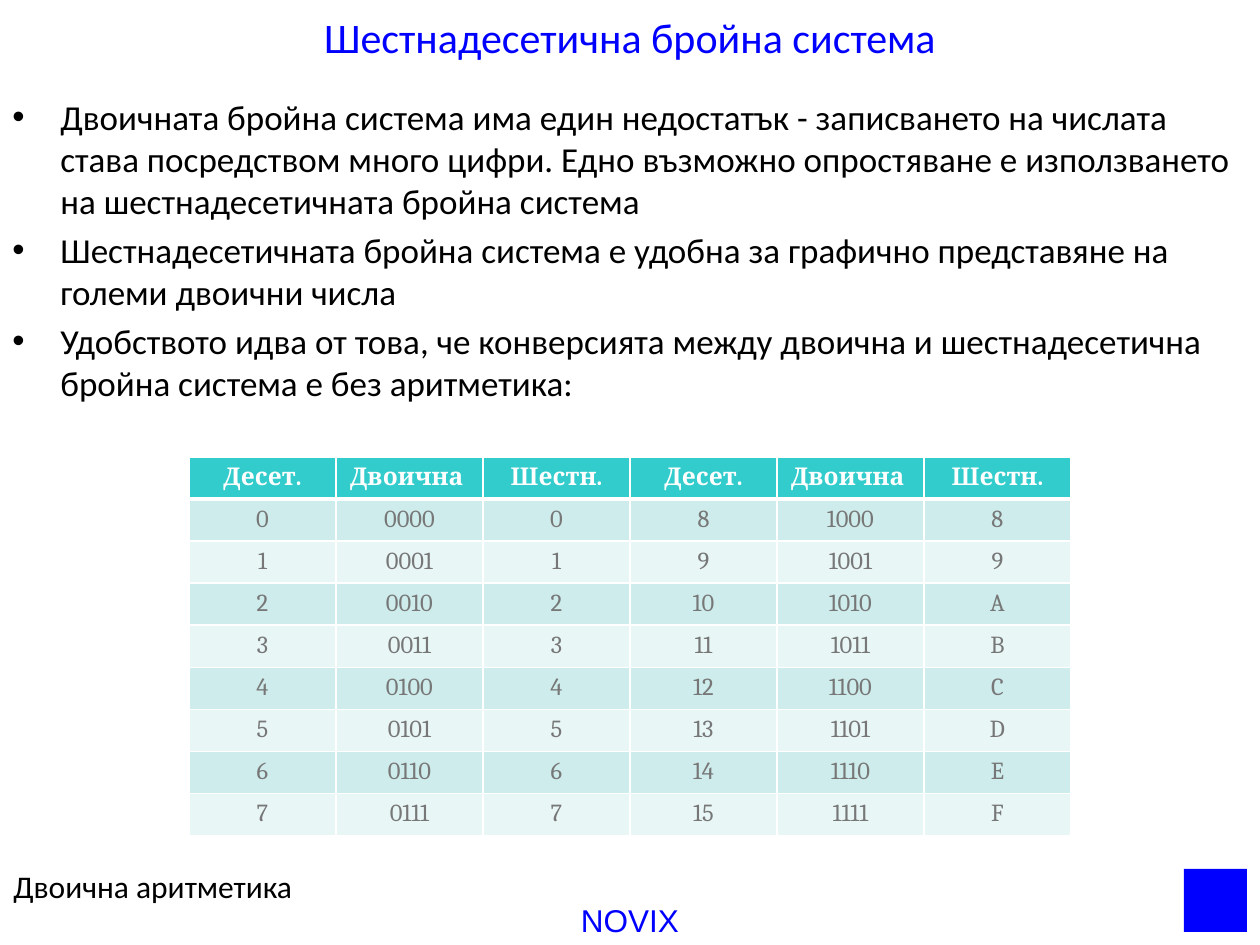
from typing import NamedTuple

from lxml.etree import SubElement
from pptx import Presentation
from pptx.dml.color import RGBColor
from pptx.enum.shapes import MSO_SHAPE
from pptx.enum.text import MSO_ANCHOR as Anchor, MSO_AUTO_SIZE as AutoSize, PP_ALIGN as Align
from pptx.oxml.ns import qn
from pptx.util import Pt

PX = 914400 // 126
BLUE = RGBColor(0x00, 0x00, 0xFF)
BLACK = RGBColor(0x00, 0x00, 0x00)
WHITE = RGBColor(0xFF, 0xFF, 0xFF)
GREY = RGBColor(0x77, 0x77, 0x77)
TEAL = RGBColor(0x33, 0xCC, 0xCC)
BANDS = (RGBColor(0xCE, 0xEC, 0xEC), RGBColor(0xE8, 0xF6, 0xF6))

HEADINGS = ("Десет.", "Двоична ", "Шестн.") * 2
DIGIT_ROWS = 8
POINTS = (
    "Двоичната бройна система има един недостатък - записването на числата става "
    "посредством много цифри. Едно възможно опростяване е използването на "
    "шестнадесетичната бройна система",
    "Шестнадесетичната бройна система е удобна за графично представяне на големи двоични числа",
    "Удобството идва от това, че конверсията между двоична и шестнадесетична бройна "
    "система е без аритметика:",
)


class Box(NamedTuple):
    left: int
    top: int
    width: int
    height: int

    def emu(self) -> tuple[int, ...]:
        return tuple(length * PX for length in self)


class CellLook(NamedTuple):
    fill: RGBColor
    color: RGBColor
    bold: bool
    bottom_line: int


def write(frame, *texts: str, size: int, color: RGBColor, font: str = "Calibri",
          bold: bool = False, align=Align.LEFT, space_before: int = 0, bullet_indent: int = 0):
    """Fill a text frame with one equally formatted paragraph per text."""
    for index, text in enumerate(texts):
        paragraph = frame.add_paragraph() if index else frame.paragraphs[0]
        paragraph.alignment = align
        paragraph.space_before = Pt(space_before)
        run = paragraph.add_run()
        run.text = text
        run.font.size, run.font.name, run.font.bold = Pt(size), font, bold
        run.font.color.rgb = color
        if bullet_indent:
            properties = paragraph._p.get_or_add_pPr()
            properties.set("marL", str(bullet_indent * PX))
            properties.set("indent", str(-bullet_indent * PX))
            SubElement(properties, qn("a:buFont"), typeface="Arial")
            SubElement(properties, qn("a:buChar"), char="•")


def add_text(slide, box: Box, *texts: str, anchor=Anchor.TOP, **text_format):
    frame = slide.shapes.add_textbox(*box.emu()).text_frame
    frame.word_wrap = True
    frame.vertical_anchor = anchor
    write(frame, *texts, **text_format)


def set_title(slide, box: Box, text: str):
    title = slide.shapes.title
    title.left, title.top, title.width, title.height = box.emu()
    frame = title.text_frame
    frame.auto_size = AutoSize.NONE
    frame.vertical_anchor = Anchor.MIDDLE
    frame.margin_left = frame.margin_top = frame.margin_right = frame.margin_bottom = 0
    write(frame, text, size=24, color=BLUE, align=Align.CENTER)


def draw_borders(cell, bottom_line: int):
    properties = cell._tc.get_or_add_tcPr()
    for side, width in (("L", 1), ("R", 1), ("T", 1), ("B", bottom_line)):
        line = SubElement(properties, qn(f"a:ln{side}"), w=str(Pt(width)))
        SubElement(SubElement(line, qn("a:solidFill")), qn("a:srgbClr"), val=str(WHITE))


def fill_cell(cell, text: str, look: CellLook):
    draw_borders(cell, look.bottom_line)
    cell.fill.solid()
    cell.fill.fore_color.rgb = look.fill
    write(cell.text_frame, text, size=14, font="Cambria", color=look.color,
          bold=look.bold, align=Align.CENTER)


def numeral_row(number: int) -> tuple[str, ...]:
    """Decimal, binary and hexadecimal forms of a number and of the one 8 above it."""
    return tuple(form for n in (number, number + DIGIT_ROWS)
                 for form in (str(n), f"{n:04b}", f"{n:X}"))


def add_numeral_table(slide, box: Box):
    rows = [HEADINGS, *map(numeral_row, range(DIGIT_ROWS))]
    table = slide.shapes.add_table(len(rows), len(HEADINGS), *box.emu()).table
    for row_index, texts in enumerate(rows):
        if row_index == 0:
            look = CellLook(TEAL, WHITE, True, 3)
        else:
            look = CellLook(BANDS[(row_index - 1) % 2], GREY, False, 1)
        for column, text in enumerate(texts):
            fill_cell(table.cell(row_index, column), text, look)


def add_emblem(slide, box: Box):
    emblem = slide.shapes.add_shape(MSO_SHAPE.RECTANGLE, *box.emu())
    emblem.shadow.inherit = False
    emblem.fill.solid()
    emblem.fill.fore_color.rgb = BLUE
    emblem.line.fill.background()


def main():
    deck = Presentation()
    deck.slide_width, deck.slide_height = 1260 * PX, 945 * PX
    slide = deck.slides.add_slide(deck.slide_layouts[5])

    add_text(slide, Box(0, 895, 1260, 48), "NOVIX", size=18, font="Arial",
             color=BLUE, align=Align.CENTER)
    add_emblem(slide, Box(1184, 869, 63, 63))
    set_title(slide, Box(0, 0, 1260, 73), "Шестнадесетична бройна система")
    add_text(slide, Box(0, 89, 1260, 791), *POINTS, size=20, color=BLACK,
             space_before=4, bullet_indent=48)
    add_text(slide, Box(1, 869, 1183, 34), "Двоична аритметика", size=18,
             color=BLACK, anchor=Anchor.MIDDLE)
    add_numeral_table(slide, Box(189, 457, 882, 369))

    deck.save("out.pptx")


if __name__ == "__main__":
    main()
